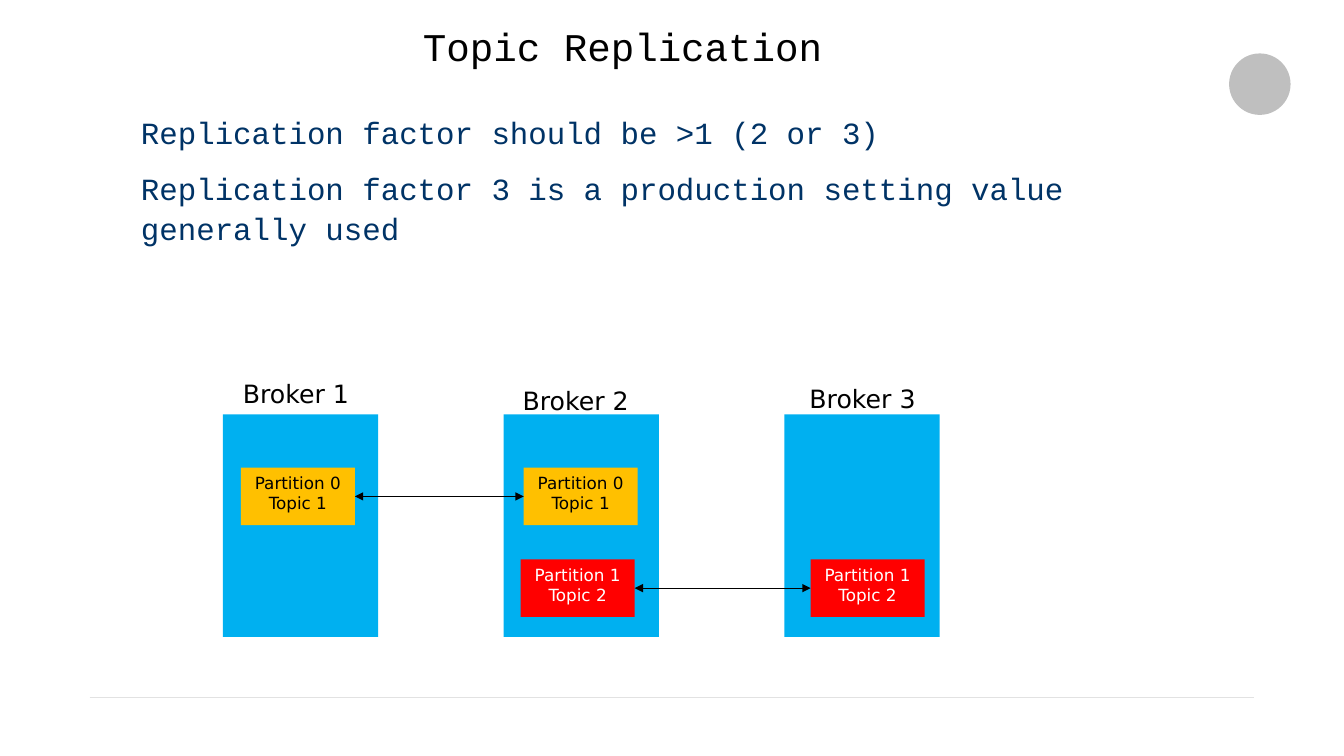
from pptx import Presentation
from pptx.dml.color import RGBColor
from pptx.enum.shapes import MSO_CONNECTOR as LINE, MSO_SHAPE as SHAPE
from pptx.enum.text import MSO_ANCHOR as ANCHOR, PP_ALIGN as ALIGN
from pptx.oxml.ns import qn
from pptx.util import Inches, Pt
from lxml import etree

# Content
TITLE = "Topic Replication"
POINTS = ["Replication factor should be >1 (2 or 3)",
          "Replication factor 3 is a production setting value generally used"]
# Broker name with its label's offset from the broker box: (x, y)
BROKERS = [("Broker 1", 0.1, -0.41), ("Broker 2", 0.09, -0.34), ("Broker 3", 0.15, -0.36)]
# Lines, fill, text colour, row, and (broker index, inset) of each replica
REPLICAS = [
    (["Partition 0", "Topic 1"], "FFC000", "000000", 0, [(0, 0.18), (1, 0.2)]),
    (["Partition 1", "Topic 2"], "FF0000", "FFFFFF", 1, [(1, 0.17), (2, 0.26)]),
]

# Layout in inches
SLIDE_W, SLIDE_H = 13.33, 7.5
BROKER_X, BROKER_Y, BROKER_STEP, BROKER_W, BROKER_H = 2.21, 4.11, 2.785, 1.54, 2.21
ROW_Y, ROW_STEP, PART_W, PART_H = 4.64, 0.91, 1.13, 0.57
MONO, SANS = "Courier New", "DejaVu Sans"

prs = Presentation()
prs.slide_width, prs.slide_height = Inches(SLIDE_W), Inches(SLIDE_H)
shapes = prs.slides.add_slide(prs.slide_layouts[6]).shapes


def rgb(value):
    return RGBColor.from_string(value)


def write(sp, lines, size, font, color, align=ALIGN.LEFT, top=0.05, wrap=True):
    tf = sp.text_frame
    tf.word_wrap = wrap
    tf.vertical_anchor = ANCHOR.TOP
    tf.margin_top = Inches(top)
    for i, line in enumerate(lines):
        p = tf.add_paragraph() if i else tf.paragraphs[0]
        p.alignment = align
        r = p.add_run()
        r.text = line
        r.font.size, r.font.name = Pt(size), font
        r.font.color.rgb = rgb(color)
    return tf


def textbox(x, y, w, h):
    return shapes.add_textbox(*map(Inches, (x, y, w, h)))


def block(kind, x, y, w, h, fill):
    sp = shapes.add_shape(kind, *map(Inches, (x, y, w, h)))
    sp.shadow.inherit = False
    sp.fill.solid()
    sp.fill.fore_color.rgb = rgb(fill)
    sp.line.fill.background()
    return sp


def connector(x1, y1, x2, y2, color, width):
    cx = shapes.add_connector(LINE.STRAIGHT, *map(Inches, (x1, y1, x2, y2)))
    cx.line.color.rgb = rgb(color)
    cx.line.width = Pt(width)
    etree.SubElement(cx._element.spPr, qn("a:effectLst"))
    return cx


def broker_x(i):
    return BROKER_X + i * BROKER_STEP


# Footer rule, body and title
connector(0.89, 6.92, 12.44, 6.92, "E2E2E2", 0.25)
tf = write(textbox(1.3, 1, 10.62, 1.99), POINTS, 22, MONO, "003366", top=0.1)
for i, p in enumerate(tf.paragraphs):
    p.line_spacing = 1.07
    p.space_before, p.space_after = Pt(6 if i else 0), Pt(6)
write(textbox(0.43, 0.1, 11.49, 0.57), [TITLE], 28, MONO, "000000", ALIGN.CENTER, top=0.12)

# Corner mark
block(SHAPE.OVAL, 12.19, 0.53, 0.61, 0.61, "BFBFBF")

# Brokers and their labels
for i, (name, dx, dy) in enumerate(BROKERS):
    block(SHAPE.RECTANGLE, broker_x(i), BROKER_Y, BROKER_W, BROKER_H, "00B0F0")
    write(textbox(broker_x(i) + dx, BROKER_Y + dy, 1.29, 0.4), [name], 18, SANS, "000000", wrap=False)

# Replicated partitions, each pair joined by a two-way arrow
for lines, fill, color, row, places in REPLICAS:
    y = ROW_Y + row * ROW_STEP
    pair = []
    for i, inset in places:
        sp = block(SHAPE.RECTANGLE, broker_x(i) + inset, y, PART_W, PART_H, fill)
        write(sp, lines, 12, SANS, color, ALIGN.CENTER)
        pair.append(sp)
    arrow = connector(0, y, 1, y, "000000", 0.75)
    arrow.begin_connect(pair[0], 3)
    arrow.end_connect(pair[1], 1)
    ln = arrow.line._get_or_add_ln()
    for end in ("a:headEnd", "a:tailEnd"):
        etree.SubElement(ln, qn(end), type="triangle")

prs.save("out.pptx")
